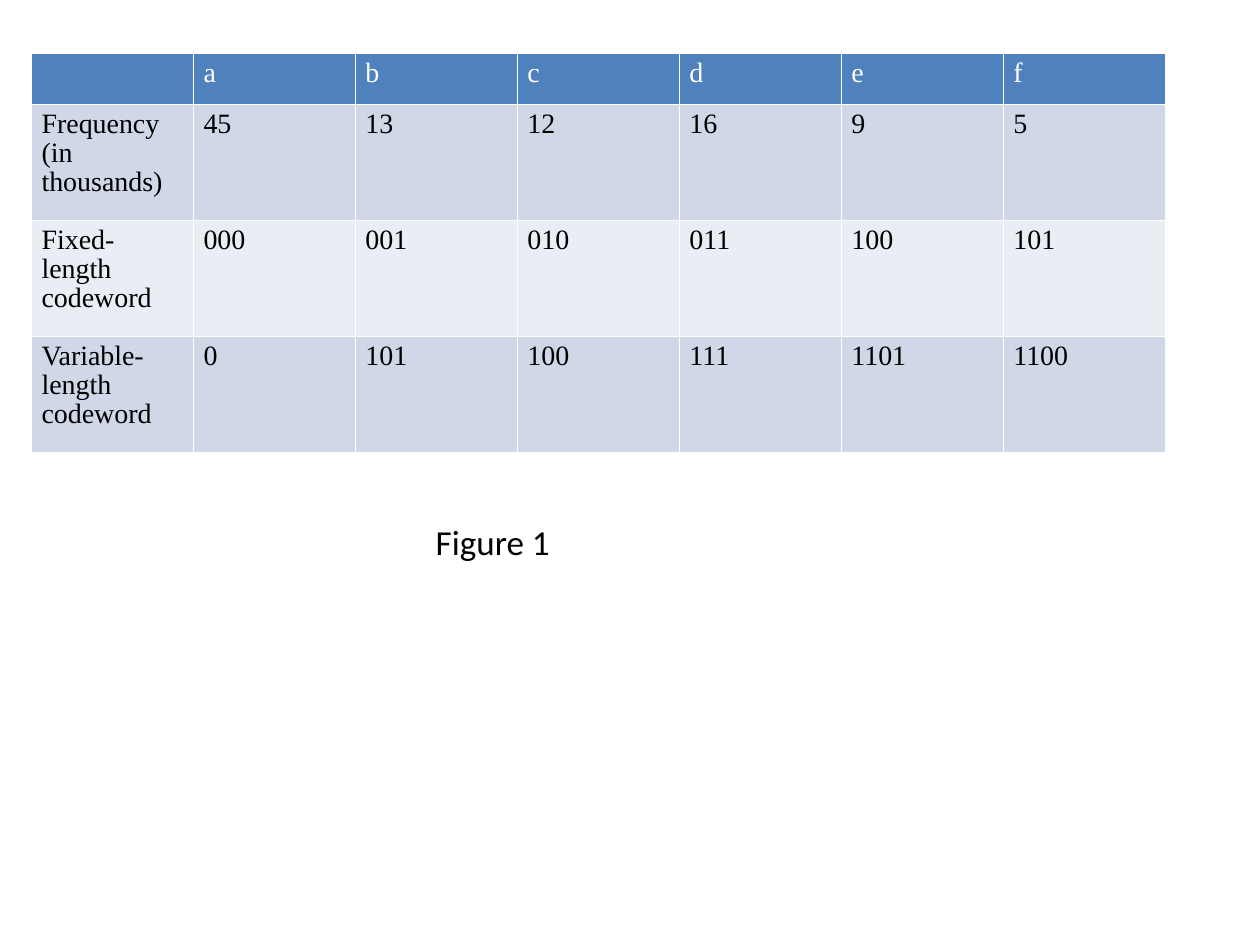
from lxml import etree
from pptx import Presentation
from pptx import util as u
from pptx.dml.color import RGBColor
from pptx.enum import text
from pptx.oxml.ns import qn

ROWS = [
    ("", "a", "b", "c", "d", "e", "f"),
    ("Frequency (in thousands)", "45", "13", "12", "16", "9", "5"),
    ("Fixed-length codeword", "000", "001", "010", "011", "100", "101"),
    ("Variable-length codeword", "0", "101", "100", "111", "1101", "1100"),
]
CAPTION = "Figure 1"
COLORS = {
    "header": "4F81BD",
    "odd": "D0D8E8",
    "even": "E9EDF4",
    "white": "FFFFFF",
    "black": "000000",
}
SLIDE_W, SLIDE_H = 10, 7.5
LEFT, TOP, TABLE_W = 0.25, 0.42, 0.9 * SLIDE_W
HEADER_H, BODY_H = 0.41, 0.92
THIN, THICK = 0.11, 0.34


def color(name):
    return RGBColor.from_string(COLORS[name])


def add_span(para, words, font, size, ink):
    span = para.add_run()
    span.text = words
    span.font.name = font
    span.font.size = u.Pt(size)
    span.font.color.rgb = color(ink)


def set_borders(cell, widths):
    """Draw white cell edges; widths maps each side to points."""
    props = cell._tc.get_or_add_tcPr()
    for place, (side, width) in enumerate(widths.items()):
        line = etree.Element(qn(f"a:ln{side}"), w=str(u.Pt(width)))
        fill = etree.SubElement(line, qn("a:solidFill"))
        etree.SubElement(fill, qn("a:srgbClr"), val=COLORS["white"])
        props.insert(place, line)


def fill_cell(cell, words, row):
    band = "header" if row == 0 else "odd" if row % 2 else "even"
    cell.fill.solid()
    cell.fill.fore_color.rgb = color(band)
    cell.margin_left = cell.margin_right = u.Inches(0.08)
    cell.margin_top = cell.margin_bottom = u.Inches(0.05)
    set_borders(cell, {
        "L": THIN,
        "R": THIN,
        "T": THICK if row == 1 else THIN,
        "B": THICK if row == 0 else THIN,
    })
    if words:
        para = cell.text_frame.paragraphs[0]
        para.line_spacing = 0.93
        para.space_after = u.Pt(10)
        add_span(para, words, "Times New Roman", 16, "black" if row else "white")


def add_code_table(page):
    height = HEADER_H + BODY_H * (len(ROWS) - 1)
    table = page.shapes.add_table(
        len(ROWS), len(ROWS[0]),
        u.Inches(LEFT), u.Inches(TOP), u.Inches(TABLE_W), u.Inches(height),
    ).table
    for column in table.columns:
        column.width = u.Inches(TABLE_W / len(ROWS[0]))
    for row, entries in enumerate(ROWS):
        table.rows[row].height = u.Inches(BODY_H if row else HEADER_H)
        for column, words in enumerate(entries):
            fill_cell(table.cell(row, column), words, row)


def add_caption(page):
    box = page.shapes.add_textbox(
        u.Inches(3.36), u.Inches(4.08), u.Inches(1.11), u.Inches(0.44))
    frame = box.text_frame
    frame.word_wrap = False
    frame.auto_size = text.MSO_AUTO_SIZE.SHAPE_TO_FIT_TEXT
    add_span(frame.paragraphs[0], CAPTION, "Calibri", 20, "black")


def main():
    deck = Presentation()
    deck.slide_width, deck.slide_height = u.Inches(SLIDE_W), u.Inches(SLIDE_H)
    page = deck.slides.add_slide(deck.slide_layouts[6])
    add_code_table(page)
    add_caption(page)
    deck.save("out.pptx")


if __name__ == "__main__":
    main()
